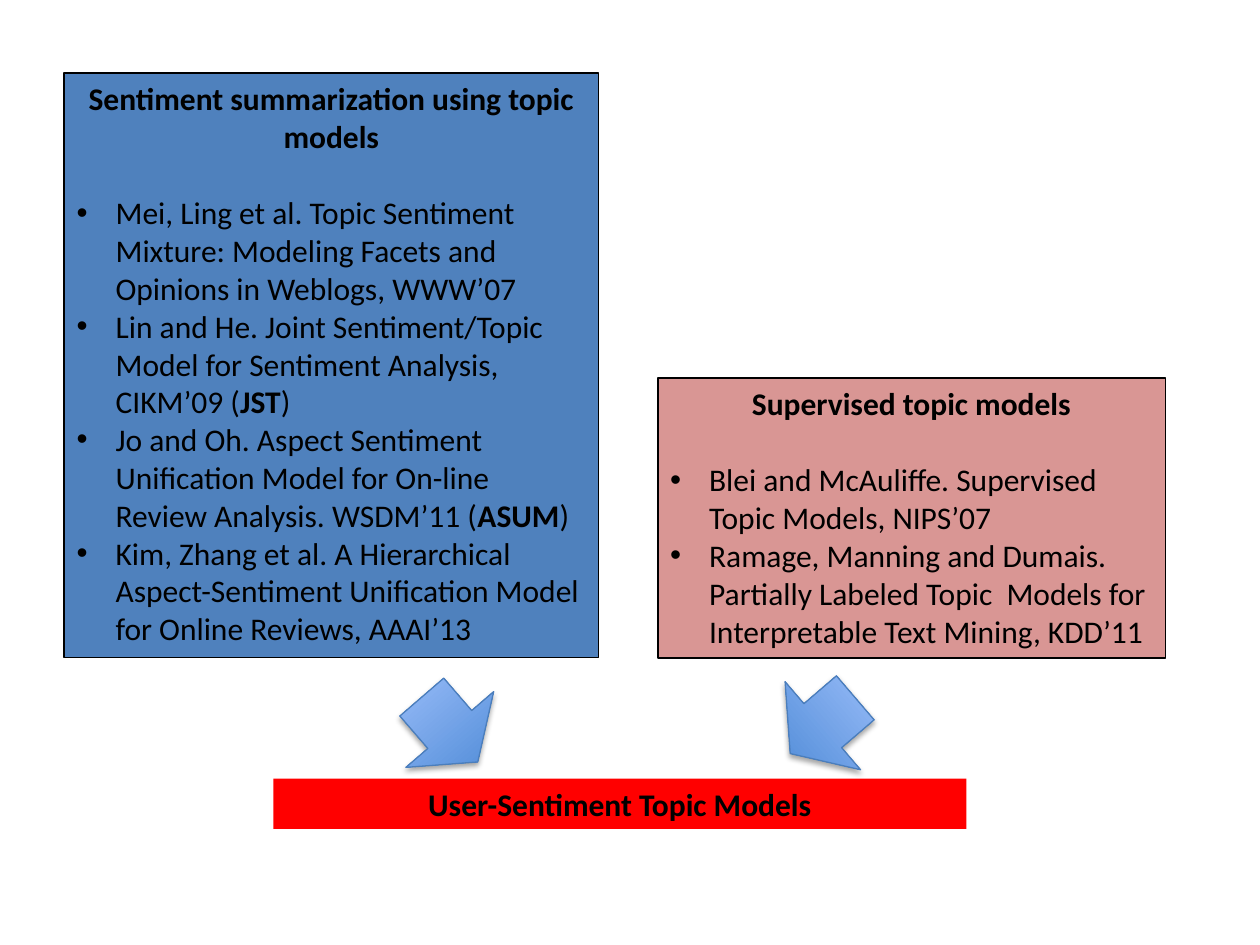
from lxml.etree import SubElement
from pptx import Presentation
from pptx.dml.color import RGBColor
from pptx.enum.shapes import MSO_SHAPE as Shape
from pptx.enum.text import MSO_ANCHOR as Anchor, MSO_AUTO_SIZE as AutoSize, PP_ALIGN as Align
from pptx.oxml.ns import qn
from pptx.util import Inches, Pt


def color(value):
    return RGBColor.from_string(value)


def assign(target, values):
    for name, value in values.items():
        setattr(target, name, value)


class SlideBuilder:
    columns, rows = 100, 75
    ink = "000000"
    font = {"name": "Calibri", "size": Pt(18)}
    frame = {"word_wrap": True, "auto_size": AutoSize.NONE, "vertical_anchor": Anchor.TOP}
    heading = {"alignment": Align.CENTER}
    indent = Inches(0.31)
    heading_gap = Pt(22)
    arrow_size = (9.2, 6.8)
    arrow_stops = ("3F80CE", "A4C4FF")
    arrow_line = "4B7EBC"
    shadow = {"blurRad": "40000", "dist": "23000", "dir": "5400000", "rotWithShape": "0"}

    def __init__(self, deck):
        self.deck = deck
        self.page = deck.slides.add_slide(deck.slide_layouts[6])

    def shape(self, kind, left, top, width, height):
        across = self.deck.slide_width / self.columns
        down = self.deck.slide_height / self.rows
        shape = self.page.shapes.add_shape(
            kind, round(left * across), round(top * down), round(width * across), round(height * down))
        shape.shadow.inherit = False
        return shape

    def add_text(self, para, text, bold=False):
        for index, part in enumerate(text.split("*")):
            span = para.add_run()
            span.text = part
            assign(span.font, {**self.font, "bold": bold or index % 2 == 1})
            span.font.color.rgb = color(self.ink)

    def bullet(self, frame, text):
        para = frame.add_paragraph()
        para.alignment = Align.LEFT
        properties = para._p.get_or_add_pPr()
        properties.set("marL", str(self.indent))
        properties.set("indent", str(-self.indent))
        SubElement(properties, qn("a:buFont"), typeface="Arial")
        SubElement(properties, qn("a:buChar"), char="•")
        self.add_text(para, text)

    def box(self, area, fill, title, items=(), outlined=True):
        box = self.shape(Shape.RECTANGLE, *area)
        box.fill.solid()
        box.fill.fore_color.rgb = color(fill)
        if outlined:
            box.line.color.rgb = color(self.ink)
            box.line.width = Pt(1)
        else:
            box.line.fill.background()
        frame = box.text_frame
        assign(frame, self.frame)
        para = frame.paragraphs[0]
        assign(para, self.heading)
        self.add_text(para, title, bold=True)
        if items:
            para.space_after = self.heading_gap
        for item in items:
            self.bullet(frame, item)

    def arrow(self, left, top, rotation):
        arrow = self.shape(Shape.DOWN_ARROW, left, top, *self.arrow_size)
        arrow.rotation = rotation
        arrow.fill.gradient()
        arrow.fill.gradient_angle = 90
        for position, (stop, value) in enumerate(zip(arrow.fill.gradient_stops, self.arrow_stops)):
            stop.position = position
            stop.color.rgb = color(value)
        arrow.line.color.rgb = color(self.arrow_line)
        arrow.line.width = Pt(0.75)
        effects = arrow._element.spPr.find(qn("a:effectLst"))
        outer = SubElement(effects, qn("a:outerShdw"), **self.shadow)
        tint = SubElement(outer, qn("a:srgbClr"), val=self.ink)
        SubElement(tint, qn("a:alpha"), val="35000")


def main():
    deck = Presentation()
    assign(deck, {"slide_width": Inches(10), "slide_height": Inches(7.5)})
    builder = SlideBuilder(deck)
    builder.box((5.1, 5.8, 42.4, 46.4), "4F81BD", "Sentiment summarization using topic models", [
        "Mei, Ling et al. Topic Sentiment Mixture: Modeling Facets and Opinions in Weblogs, WWW’07",
        "Lin and He. Joint Sentiment/Topic Model for Sentiment Analysis, CIKM’09 (*JST*)",
        "Jo and Oh. Aspect Sentiment Unification Model for On-line Review Analysis. WSDM’11 (*ASUM*)",
        "Kim, Zhang et al. A Hierarchical Aspect-Sentiment Unification Model for Online Reviews, AAAI’13",
    ])
    builder.box((52.2, 30, 40.3, 22.2), "D99694", "Supervised topic models", [
        "Blei and McAuliffe. Supervised Topic Models, NIPS’07",
        "Ramage, Manning and Dumais. Partially Labeled Topic  Models for Interpretable Text Mining, KDD’11",
    ])
    builder.box((21.7, 61.8, 55, 4), "FF0000", "User-Sentiment Topic Models", outlined=False)
    builder.arrow(31.1, 54.5, 319.2)
    builder.arrow(60.7, 54.2, 49.4)
    deck.save("out.pptx")


if __name__ == "__main__":
    main()
